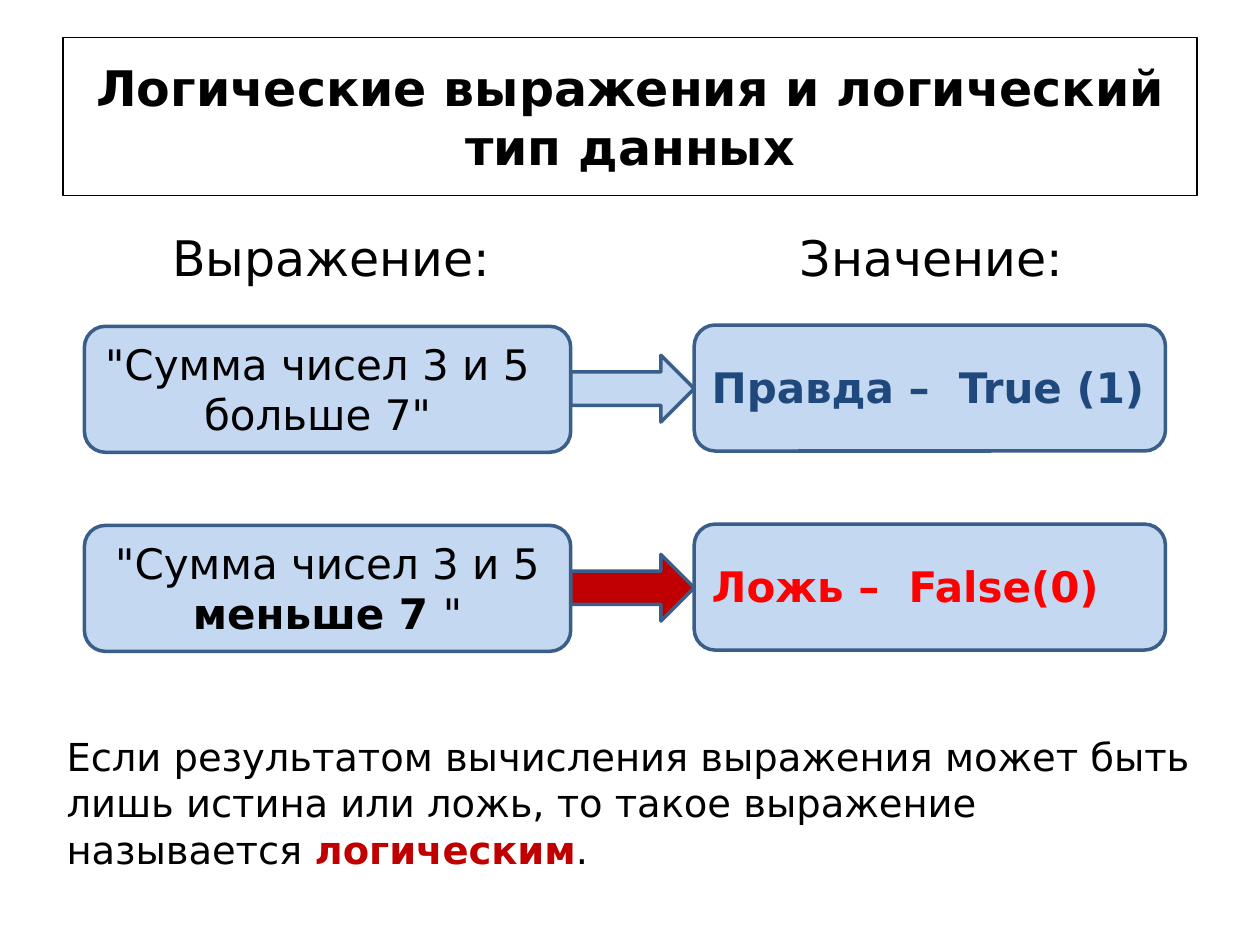
import pptx
import pptx.util
import pptx.dml.color
import pptx.enum.shapes
import pptx.enum.text

Inches = pptx.util.Inches
RGB = pptx.dml.color.RGBColor
Kind = pptx.enum.shapes.MSO_SHAPE
Align = pptx.enum.text.PP_ALIGN
Anchor = pptx.enum.text.MSO_ANCHOR

BLACK = RGB(0x00, 0x00, 0x00)
PALE = RGB(0xC5, 0xD8, 0xF1)
EDGE = RGB(0x39, 0x5E, 0x89)
NAVY = RGB(0x1F, 0x49, 0x7D)
RED = RGB(0xFF, 0x00, 0x00)
DARK = RGB(0xC0, 0x00, 0x00)

FONT = "DejaVu Sans"
STEP = 1.58  # from one row to the next


def write(frame, runs, size, align=Align.LEFT, anchor=Anchor.TOP):
    """Fill a text frame with runs of (text, colour, bold)."""
    form = {
        "word_wrap": True,
        "auto_size": pptx.enum.text.MSO_AUTO_SIZE.NONE,
        "vertical_anchor": anchor,
    }
    for name, value in form.items():
        setattr(frame, name, value)
    para = frame.paragraphs[0]
    para.alignment = align
    for text, color, bold in runs:
        run = para.add_run()
        run.text = text
        form = {"name": FONT, "size": pptx.util.Pt(size), "bold": bold}
        for name, value in form.items():
            setattr(run.font, name, value)
        run.font.color.rgb = color


def add_text(shapes, place, runs, size, fill=None, **form):
    box = shapes.add_textbox(*map(Inches, place))
    if fill is not None:
        box.fill.solid()
        box.fill.fore_color.rgb = fill
    write(box.text_frame, runs, size, **form)


def add_block(shapes, kind, place, fill):
    block = shapes.add_shape(kind, *map(Inches, place))
    block.shadow.inherit = False
    block.fill.solid()
    block.fill.fore_color.rgb = fill
    block.line.color.rgb = EDGE
    block.line.width = pptx.util.Pt(2)


def add_row(slide, index, claim, width, tint, value, span, back=None):
    """Group an expression, an arrow and its value."""
    shapes = slide.shapes.add_group_shape().shapes
    top = 2.58 + index * STEP
    add_block(shapes, Kind.ROUNDED_RECTANGLE, (0.67, top + 0.01, 3.86, 1), PALE)
    add_text(shapes, (0.67, top + 0.05, width, 0.91), claim, 24,
             align=Align.CENTER, anchor=Anchor.MIDDLE)
    add_block(shapes, Kind.RIGHT_ARROW, (4.53, top + 0.24, 0.98, 0.53), tint)
    add_block(shapes, Kind.ROUNDED_RECTANGLE, (5.51, top, 3.74, 1), PALE)
    add_text(shapes, (5.55, top + 0.24, span, 0.5), value, 24, fill=back)


def add_title(slide, text):
    title = slide.shapes.title
    place = {"left": 0.5, "top": 0.3, "width": 9, "height": 1.25}
    for name, value in place.items():
        setattr(title, name, Inches(value))
    title.line.color.rgb = BLACK
    title.line.width = pptx.util.Pt(0.75)
    write(title.text_frame, [(text, BLACK, True)], 28,
          align=Align.CENTER, anchor=Anchor.MIDDLE)


def main():
    deck = pptx.Presentation()
    deck.slide_width, deck.slide_height = Inches(10), Inches(7.5)
    slide = deck.slides.add_slide(deck.slide_layouts[5])
    add_title(slide, "Логические выражения и логический тип данных")

    # Expressions and their values
    add_row(slide, 0, [('"Сумма чисел 3 и 5 больше 7"', BLACK, False)], 3.7,
            PALE, [("Правда –  True (1)", NAVY, True)], 3.8)
    claim = [
        ('"Сумма чисел 3 и 5 ', BLACK, False),
        ("меньше 7 ", BLACK, True),
        ('"', BLACK, False),
    ]
    add_row(slide, 1, claim, 3.86,
            DARK, [("Ложь –  False(0)", RED, True)], 3.45, back=PALE)

    # Column heads
    for left, width, head in ((1.27, 2.86, "Выражение:"),
                              (6.25, 2.45, "Значение:")):
        add_text(slide.shapes, (left, 1.76, width, 0.57),
                 [(head, BLACK, False)], 28)

    # Definition
    rule = [
        ("Если результатом вычисления выражения может быть лишь истина "
         "или ложь, то такое выражение называется ", BLACK, False),
        ("логическим", DARK, True),
        (".", BLACK, False),
    ]
    add_text(slide.shapes, (0.43, 5.77, 9.13, 1.21), rule, 22)

    deck.save("out.pptx")


if __name__ == "__main__":
    main()
